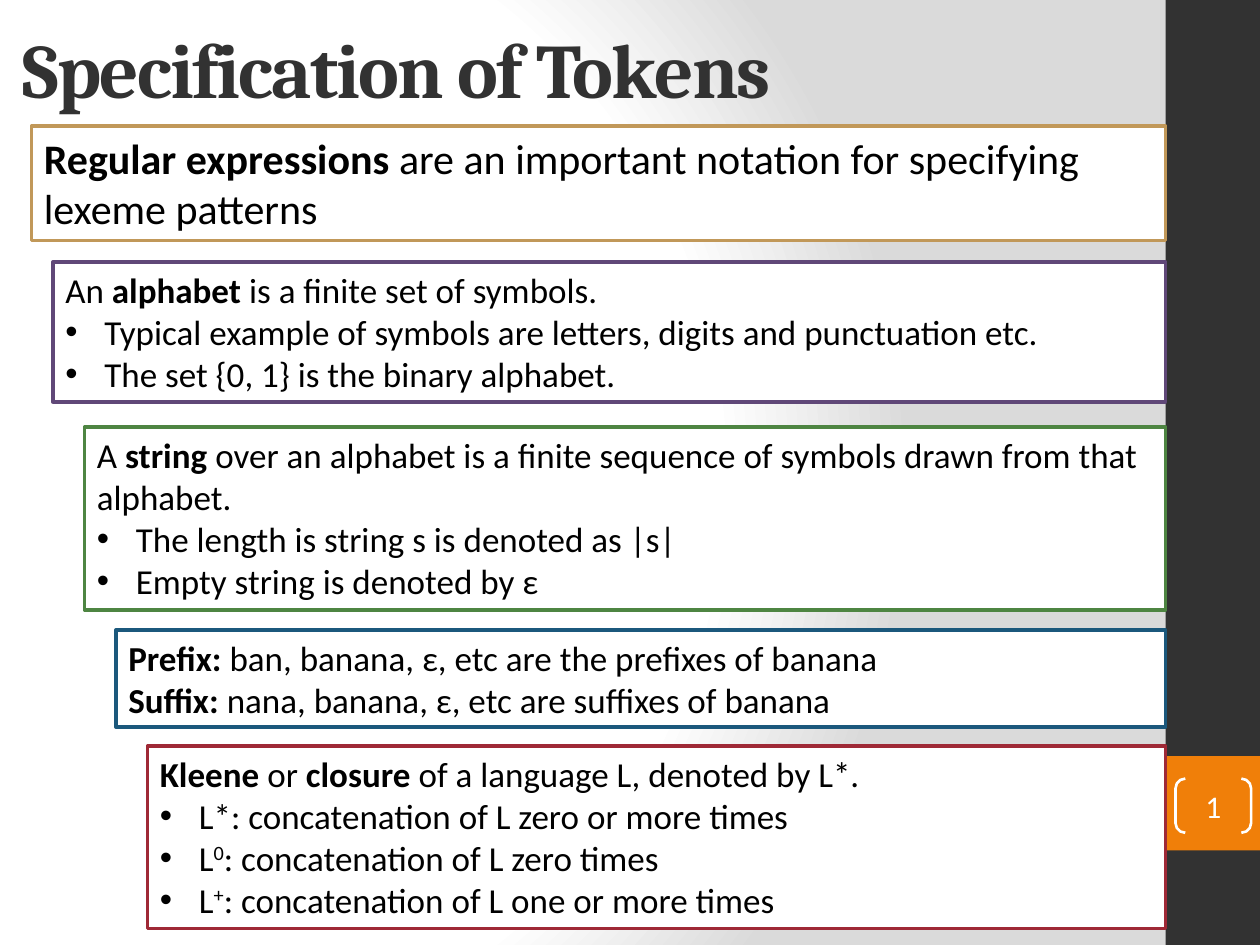
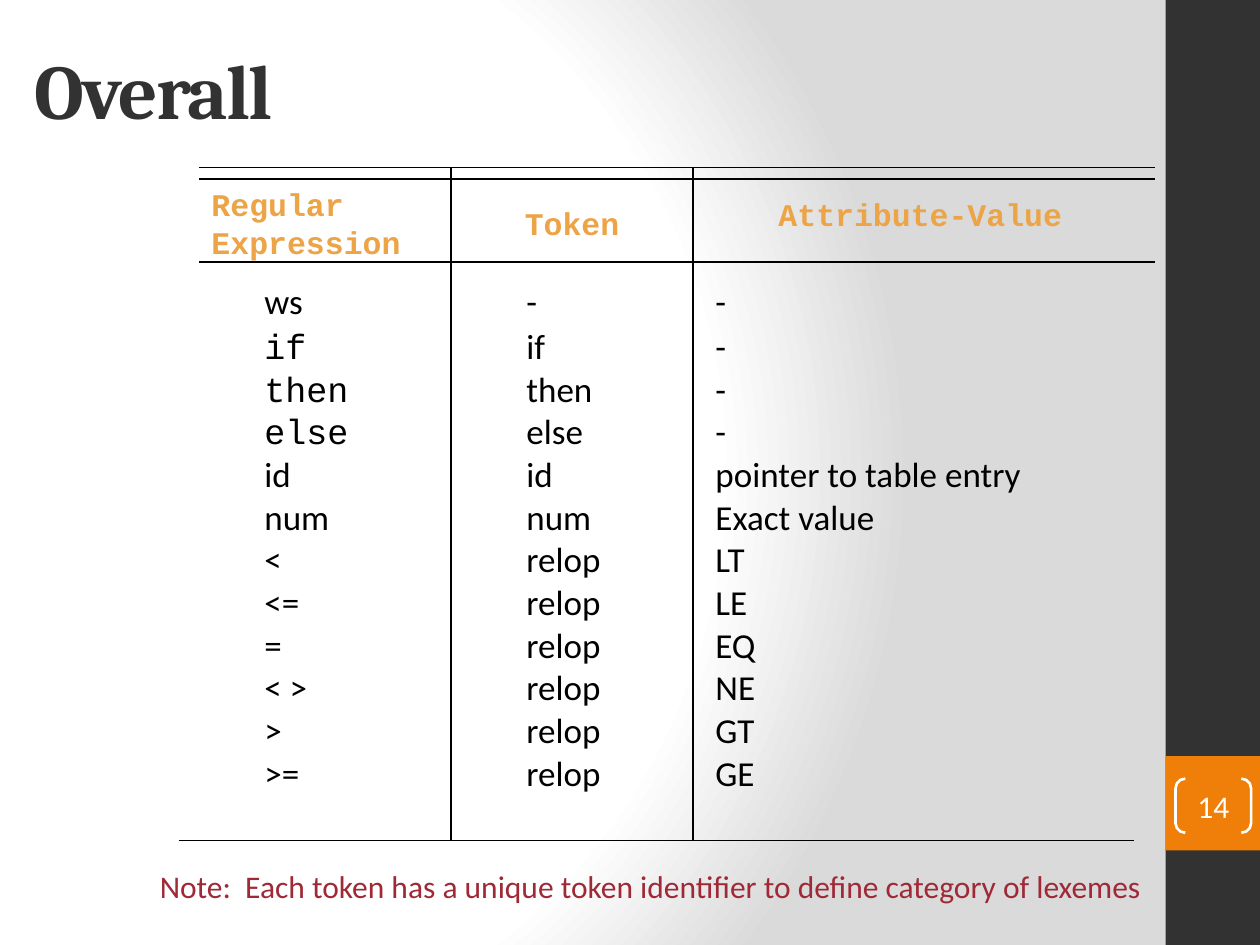
from lxml.etree import SubElement
from pptx import Presentation
from pptx.dml.color import RGBColor
from pptx.enum.shapes import MSO_CONNECTOR, MSO_SHAPE
from pptx.enum.text import MSO_ANCHOR, MSO_AUTO_SIZE, PP_ALIGN
from pptx.oxml import parse_xml
from pptx.oxml.ns import nsdecls, qn
from pptx.util import Inches, Pt

BLACK = RGBColor(0x00, 0x00, 0x00)
WHITE = RGBColor(0xFF, 0xFF, 0xFF)
CHARCOAL = RGBColor(0x32, 0x32, 0x32)
ORANGE = RGBColor(0xF0, 0x7F, 0x09)
AMBER = RGBColor(0xEC, 0xA4, 0x46)
TAN = RGBColor(0xC1, 0x98, 0x59)
PURPLE = RGBColor(0x60, 0x48, 0x78)
GREEN = RGBColor(0x4E, 0x85, 0x42)
BLUE = RGBColor(0x1B, 0x58, 0x7C)
RED = RGBColor(0x9F, 0x29, 0x36)

BODY, HEADING, CODE = "Calibri", "Cambria", "Courier New"
BAND_LEFT = 9.25

BACKGROUND = f"""<p:bg {nsdecls("p", "a")}><p:bgPr><a:gradFill rotWithShape="1"><a:gsLst>
<a:gs pos="0"><a:srgbClr val="FFFFFF"/></a:gs>
<a:gs pos="75000"><a:srgbClr val="FFFFFF"/></a:gs>
<a:gs pos="100000"><a:srgbClr val="DADADA"/></a:gs></a:gsLst>
<a:path path="circle"><a:fillToRect l="20000" t="50000" r="100000" b="50000"/></a:path>
</a:gradFill><a:effectLst/></p:bgPr></p:bg>"""


class Deck:
    """Holds the shared style and the slide being filled."""

    def __init__(self):
        self.presentation = Presentation()
        self.presentation.slide_width = Inches(10)
        self.presentation.slide_height = Inches(7.5)
        self.slide = None
        common = self.presentation.slide_master.element.cSld
        for old in common.findall(qn("p:bg")):
            common.remove(old)
        common.insert(0, parse_xml(BACKGROUND))

    def start(self, title, number, left, top, height):
        """New slide with its title, side band and page number."""
        layout = self.presentation.slide_layouts.get_by_name("Title Only")
        self.slide = self.presentation.slides.add_slide(layout)
        heading = self.slide.shapes.title
        heading.left, heading.top = Inches(left), Inches(top)
        heading.width, heading.height = Inches(8.33), Inches(height)
        heading.text_frame.vertical_anchor = MSO_ANCHOR.MIDDLE
        self.fill_frame(heading.text_frame, [title], 44, CHARCOAL, HEADING)
        paragraph = heading.text_frame.paragraphs[0]
        paragraph.font.bold = True
        paragraph.runs[0]._r.get_or_add_rPr().set("spc", "-100")

        self.shape(BAND_LEFT, 0, 0.75, 7.5, fill=CHARCOAL)
        self.shape(BAND_LEFT, 6, 0.75, 0.75, fill=ORANGE)
        badge = self.shape(9.33, 6.18, 0.6, 0.43, MSO_SHAPE.DOUBLE_BRACKET,
                           line=WHITE, weight=1.5)
        badge.adjustments[0] = 0.18
        frame = badge.text_frame
        frame.margin_left = frame.margin_right = 0
        frame.margin_top = frame.margin_bottom = 0
        self.fill_frame(frame, [number], 18, WHITE, align=PP_ALIGN.CENTER)

    def shape(self, left, top, width, height, kind=MSO_SHAPE.RECTANGLE,
              fill=None, line=None, weight=2):
        shape = self.slide.shapes.add_shape(
            kind, Inches(left), Inches(top), Inches(width), Inches(height))
        shape.shadow.inherit = False
        if fill is None:
            shape.fill.background()
        else:
            shape.fill.solid()
            shape.fill.fore_color.rgb = fill
        if line is None:
            shape.line.fill.background()
        else:
            shape.line.color.rgb = line
            shape.line.width = Pt(weight)
        return shape

    def panel(self, left, top, height, outline, lines, size=20):
        """White outlined box that reaches the side band."""
        panel = self.shape(left, top, BAND_LEFT - left, height, fill=WHITE, line=outline)
        frame = panel.text_frame
        frame.vertical_anchor = MSO_ANCHOR.TOP
        frame.auto_size = MSO_AUTO_SIZE.SHAPE_TO_FIT_TEXT
        self.fill_frame(frame, lines, size)

    def text(self, left, top, width, height, lines, size=20, color=BLACK,
             font=BODY, align=PP_ALIGN.LEFT):
        box = self.slide.shapes.add_textbox(
            Inches(left), Inches(top), Inches(width), Inches(height))
        frame = box.text_frame
        frame.word_wrap = True
        frame.auto_size = MSO_AUTO_SIZE.SHAPE_TO_FIT_TEXT
        self.fill_frame(frame, lines, size, color, font, align)
        return frame.paragraphs

    def rule(self, x1, y1, x2, y2):
        rule = self.slide.shapes.add_connector(
            MSO_CONNECTOR.STRAIGHT, Inches(x1), Inches(y1), Inches(x2), Inches(y2))
        rule.line.color.rgb = BLACK
        rule.line.width = Pt(1)
        SubElement(rule._element.spPr, qn("a:effectLst"))

    def fill_frame(self, frame, lines, size, color=BLACK, font=BODY, align=PP_ALIGN.LEFT):
        """Fill a frame; a leading • is a bullet, ** marks bold, ^ marks superscript."""
        for index, line in enumerate(lines):
            paragraph = frame.add_paragraph() if index else frame.paragraphs[0]
            if line.startswith("•"):
                line = line[1:]
                properties = paragraph._p.get_or_add_pPr()
                properties.set("marL", str(Inches(0.31)))
                properties.set("indent", str(-Inches(0.31)))
                SubElement(properties, qn("a:buFont"), typeface="Arial")
                SubElement(properties, qn("a:buChar"), char="•")
            paragraph.alignment = align
            paragraph.font.name = font
            paragraph.font.size = Pt(size)
            paragraph.font.color.rgb = color
            for i, part in enumerate(line.split("**")):
                for j, piece in enumerate(part.split("^")):
                    if not piece:
                        continue
                    run = paragraph.add_run()
                    run.text = piece
                    if i % 2:
                        run.font.bold = True
                    if j % 2:
                        run._r.get_or_add_rPr().set("baseline", "30000")


def specification_slide(deck):
    deck.start("Specification of Tokens", "1", 0.08, 0, 1.08)
    deck.panel(0.25, 1, 0.91, TAN, [
        "**Regular expressions **are an important notation for specifying lexeme patterns",
    ], size=24)
    deck.panel(0.42, 2.08, 1.11, PURPLE, [
        "An **alphabet **is a finite set of symbols.",
        "•Typical example of symbols are letters, digits and punctuation etc.",
        "•The set {0, 1} is the binary alphabet.",
    ])
    deck.panel(0.67, 3.39, 1.45, GREEN, [
        "A **string **over an alphabet is a finite sequence of symbols drawn from that alphabet.",
        "•The length is string s is denoted as |s|",
        "•Empty string is denoted by ε",
    ])
    deck.panel(0.92, 5, 0.77, BLUE, [
        "**Prefix: **ban, banana, ε, etc are the prefixes of banana",
        "**Suffix: **nana, banana, ε, etc are suffixes of banana",
    ])
    deck.panel(1.17, 5.92, 1.45, RED, [
        "**Kleene** or **closure** of a language L, denoted by L*.",
        "•L*: concatenation of L zero or more times",
        "•L^0^: concatenation of L zero times",
        "•L^+^: concatenation of L one or more times",
    ])


def overall_slide(deck):
    deck.start("Overall", "14", 0.17, 0.08, 1.25)

    # Ruling of the token grid
    for y in (1.33, 1.42, 2.08):
        deck.rule(1.58, y, 9.17, y)
    deck.rule(1.42, 6.67, 9, 6.67)
    for x in (3.58, 5.5):
        deck.rule(x, 1.33, x, 6.67)

    # Column headings
    for heading, left, top, width, height, align in (
            ("Regular Expression", 1.58, 1.42, 2.08, 0.71, PP_ALIGN.LEFT),
            ("Token", 3.58, 1.57, 1.92, 0.4, PP_ALIGN.CENTER),
            ("Attribute-Value", 6.08, 1.5, 3.08, 0.4, PP_ALIGN.LEFT)):
        deck.text(left, top, width, height, [f"**{heading}**"], 18, AMBER, CODE, align)

    # Column entries
    keywords = ["if", "then", "else"]
    names = ["id", "num"]
    operators = ["<", "<=", "=", "< >", ">", ">="]
    expressions = ["ws"] + keywords + names + operators
    tokens = ["-"] + keywords + names + ["relop"] * len(operators)
    attributes = ["-"] * 4 + ["pointer to table entry", "Exact value",
                              "LT", "LE", "EQ", "NE", "GT", "GE"]
    for left, width, entries in ((2, 0.92, expressions), (4.08, 0.92, tokens),
                                 (5.58, 3.67, attributes)):
        rows = deck.text(left, 2.17, width, 4.53, entries)
        for row in rows[1:]:
            row.line_spacing = 0.6
            row.space_before = Pt(10)
        if entries is expressions:
            for row in rows[1:1 + len(keywords)]:
                row.font.name = CODE

    deck.text(1.17, 6.83, 8.83, 0.4, [
        "Note:  Each token has a unique token identifier to define category of lexemes",
    ], 18, RED)


def main():
    deck = Deck()
    specification_slide(deck)
    overall_slide(deck)
    deck.presentation.save("out.pptx")


if __name__ == "__main__":
    main()
